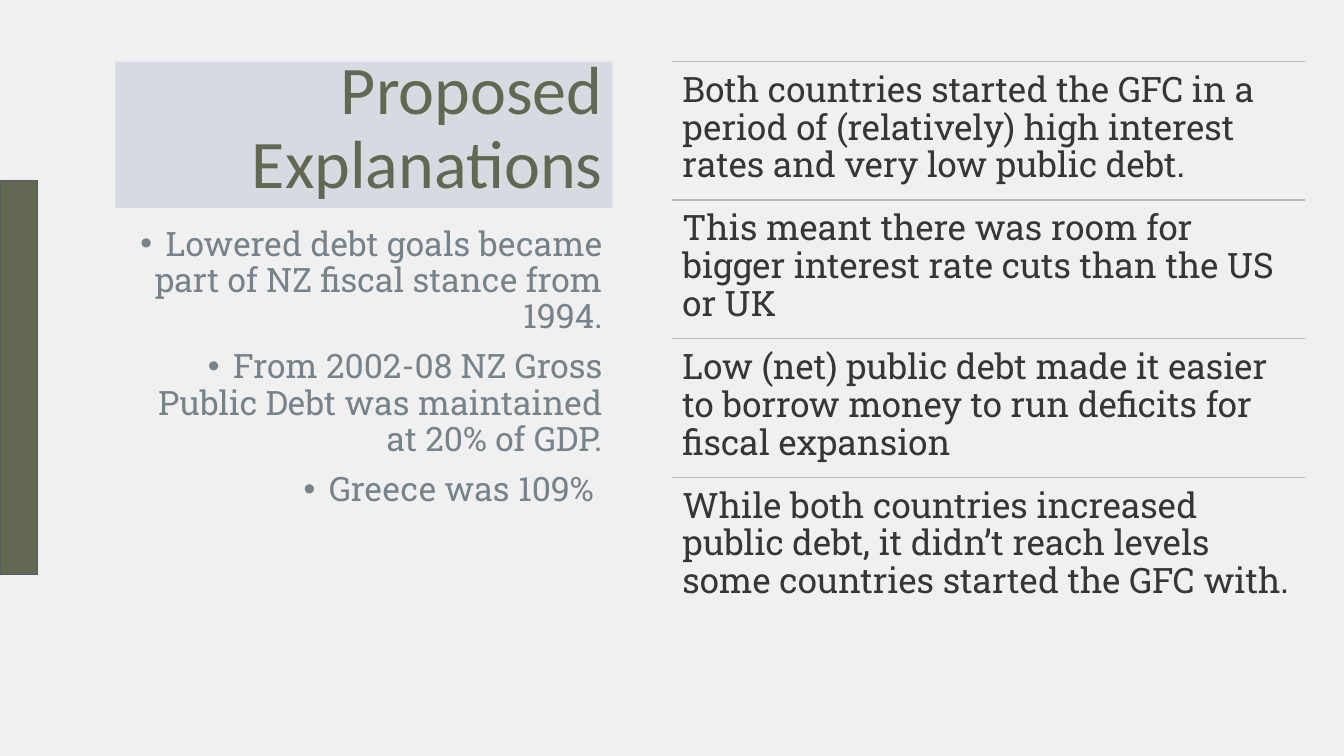
from lxml import etree
from pptx import Presentation
from pptx.dml.color import RGBColor
from pptx.enum.shapes import MSO_CONNECTOR, MSO_SHAPE
from pptx.enum.text import MSO_ANCHOR, MSO_AUTO_SIZE, PP_ALIGN
from pptx.oxml.ns import qn
from pptx.util import Pt

RECTANGLE, STRAIGHT = MSO_SHAPE.RECTANGLE, MSO_CONNECTOR.STRAIGHT
TOP, BOTTOM = MSO_ANCHOR.TOP, MSO_ANCHOR.BOTTOM
LEFT, RIGHT = PP_ALIGN.LEFT, PP_ALIGN.RIGHT
NO_FIT = MSO_AUTO_SIZE.NONE

BACKGROUND = RGBColor(0xF0, 0xF0, 0xF0)
OLIVE = RGBColor(0x63, 0x68, 0x52)
BAR_EDGE = RGBColor(0x55, 0x5D, 0x62)
TITLE_FILL = RGBColor(0xD7, 0xDA, 0xE1)
BLUE_GREY = RGBColor(0x76, 0x83, 0x8B)
RULE_GREY = RGBColor(0xBB, 0xBC, 0xB7)
CHARCOAL = RGBColor(0x35, 0x36, 0x38)

# Content
TITLE = "Proposed Explanations"
DEBT_POINTS = [
    "Lowered debt goals became part of NZ fiscal stance from 1994.",
    "From 2002-08 NZ Gross Public Debt was maintained at 20% of GDP.",
    "Greece was 109% ",
]
EXPLANATIONS = [
    "Both countries started the GFC in a period of (relatively) high interest rates and very low public debt.",
    "This meant there was room for bigger interest rate cuts than the US or UK",
    "Low (net) public debt made it easier to borrow money to run deficits for fiscal expansion",
    "While both countries increased public debt, it didn’t reach levels some countries started the GFC with.",
]

# Layout in points
SLIDE_SIZE = (960, 540)
BAR_AREA = (0, 129, 27, 281.5)
TITLE_AREA = (82.5, 44, 355, 104.5)
BODY_AREA = (82.5, 158.5, 355, 281.5)
LIST_LEFT, LIST_TOP, LIST_WIDTH, ROW_HEIGHT = 480, 44, 452.5, 99
BULLET_INDENT = 18

# Text formats
TITLE_FONT = {"name": "Calibri", "size": Pt(48.6)}
BODY_FONT = {"name": "Roboto Slab", "size": Pt(24)}
ROW_FONT = {"name": "Roboto Slab", "size": Pt(25)}


def place(shape, area):
    shape.left, shape.top, shape.width, shape.height = map(Pt, area)


def add_bullet(para):
    props = para._p.get_or_add_pPr()
    props.set("marL", str(Pt(BULLET_INDENT)))
    props.set("indent", str(-Pt(BULLET_INDENT)))
    etree.SubElement(props, qn("a:buFont"), typeface="Arial")
    etree.SubElement(props, qn("a:buChar"), char="•")


def write(shape, lines, font, color, align, anchor=TOP, gap=0, bullets=False):
    frame = shape.text_frame
    frame.word_wrap = True
    frame.auto_size = NO_FIT
    frame.vertical_anchor = anchor
    for number, line in enumerate(lines):
        para = frame.add_paragraph() if number else frame.paragraphs[0]
        if bullets:
            add_bullet(para)
        para.alignment = align
        para.line_spacing = 0.9
        para.space_before = Pt(gap if number else 0)
        span = para.add_run()
        span.text = line
        for key, value in font.items():
            setattr(span.font, key, value)
        span.font.color.rgb = color


def add_rule(page, top):
    rule = page.shapes.add_connector(
        STRAIGHT, Pt(LIST_LEFT), Pt(top), Pt(LIST_LEFT + LIST_WIDTH), Pt(top))
    rule.line.color.rgb = RULE_GREY
    rule.line.width = Pt(1)
    etree.SubElement(rule._element.spPr, qn("a:effectLst"))


def add_explanation(page, top, text):
    add_rule(page, top)
    box = page.shapes.add_textbox(Pt(LIST_LEFT), Pt(top), Pt(LIST_WIDTH), Pt(ROW_HEIGHT))
    for side in ("left", "top", "right", "bottom"):
        setattr(box.text_frame, f"margin_{side}", Pt(7.5))
    write(box, [text], ROW_FONT, CHARCOAL, LEFT)


def main():
    deck = Presentation()
    deck.slide_width, deck.slide_height = map(Pt, SLIDE_SIZE)
    page = deck.slides.add_slide(deck.slide_layouts[1])
    page.background.fill.solid()
    page.background.fill.fore_color.rgb = BACKGROUND

    # Accent bar on the left edge
    bar = page.shapes.add_shape(RECTANGLE, *map(Pt, BAR_AREA))
    bar.shadow.inherit = False
    bar.fill.solid()
    bar.fill.fore_color.rgb = OLIVE
    bar.line.color.rgb = BAR_EDGE
    bar.line.width = Pt(1)

    # Title
    title = page.shapes.title
    place(title, TITLE_AREA)
    title.fill.solid()
    title.fill.fore_color.rgb = TITLE_FILL
    write(title, [TITLE], TITLE_FONT, OLIVE, RIGHT, anchor=BOTTOM)

    # Debt points
    body = page.placeholders[1]
    place(body, BODY_AREA)
    write(body, DEBT_POINTS, BODY_FONT, BLUE_GREY, RIGHT, gap=10, bullets=True)

    # Ruled list of explanations
    for row, text in enumerate(EXPLANATIONS):
        add_explanation(page, LIST_TOP + row * ROW_HEIGHT, text)

    deck.save("out.pptx")


if __name__ == "__main__":
    main()
